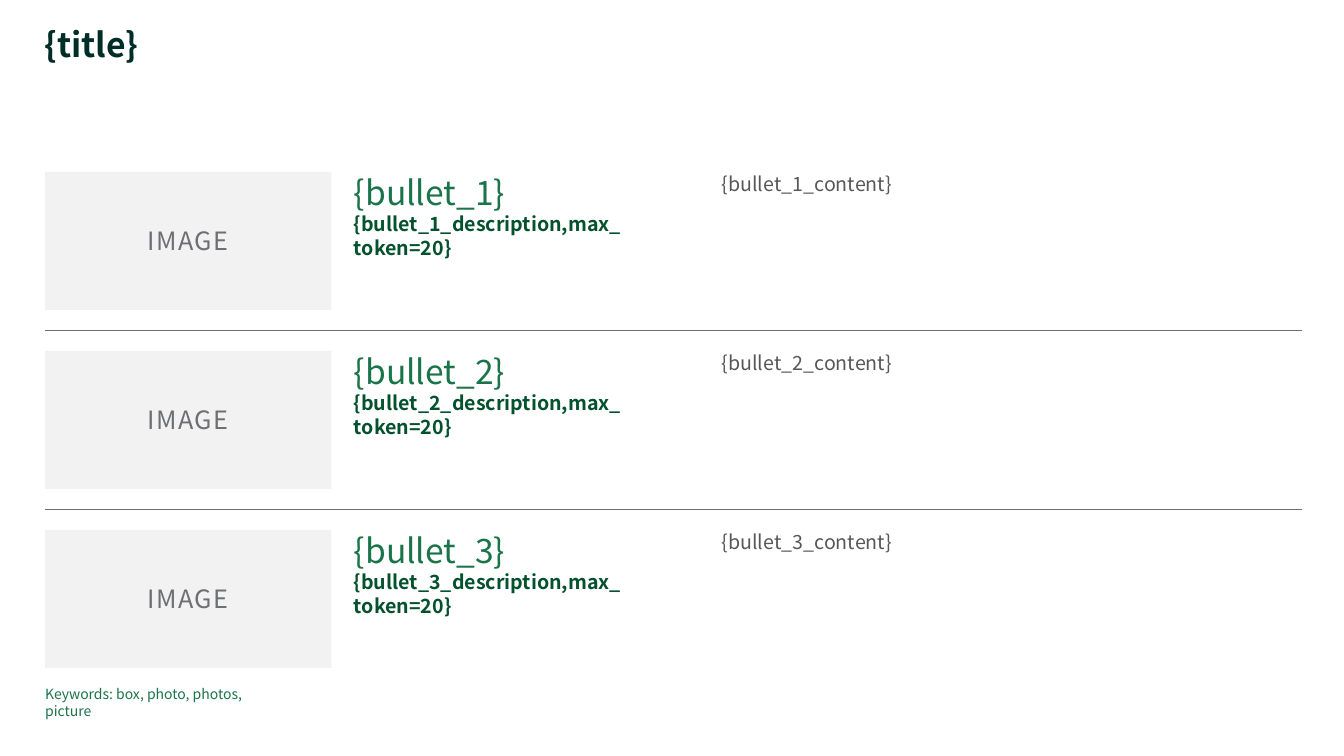
"""Build a slide with three illustrated rows separated by rules."""
from lxml import etree
from pptx import Presentation, util as u
from pptx.dml.color import RGBColor
from pptx.enum import shapes, text
from pptx.oxml.ns import qn

FONT = "Noto Sans CJK JP"
LEFT = 1.14
ROW_TOP = 4.33
ROW_STEP = 4.51
ROW_COUNT = 3
RULE_OFFSET = 4.0


def color(value):
    """Turn a hex string into a colour."""
    return RGBColor.from_string(value)


def place(left, top, width, height):
    """Convert a frame in centimetres to slide lengths."""
    return [u.Cm(length) for length in (left, top, width, height)]


def write(para, content, size, ink, bold=False, tracking=None):
    """Add one formatted span of text to a paragraph."""
    span = para.add_run()
    span.text = content
    span.font.name = FONT
    span.font.size = u.Pt(size)
    span.font.bold = bold
    span.font.color.rgb = color(ink)
    if tracking:
        span.font._element.set("spc", str(tracking * 100))


def add_text(page, frame, *lines, line_spacing=None):
    """Add a wrapped text box without margins, one paragraph per line."""
    box = page.shapes.add_textbox(*place(*frame))
    area = box.text_frame
    area.word_wrap = True
    area.auto_size = text.MSO_AUTO_SIZE.SHAPE_TO_FIT_TEXT
    area.margin_left = area.margin_right = 0
    area.margin_top = area.margin_bottom = 0
    for index, line in enumerate(lines):
        para = area.add_paragraph() if index else area.paragraphs[0]
        para.line_spacing = line_spacing
        write(para, **line)


def add_image_box(page, top):
    """Add a grey box that reserves room for an image."""
    box = page.shapes.add_shape(
        shapes.MSO_SHAPE.RECTANGLE, *place(LEFT, top, 7.21, 3.48))
    box.shadow.inherit = False
    box.fill.solid()
    box.fill.fore_color.rgb = color("F2F2F2")
    box.line.fill.background()
    box.text_frame.vertical_anchor = text.MSO_ANCHOR.MIDDLE
    para = box.text_frame.paragraphs[0]
    para.alignment = text.PP_ALIGN.CENTER
    write(para, "IMAGE", 18, "6E6F73", tracking=1)


def add_rule(page, top):
    """Add a thin horizontal line between two rows."""
    rule = page.shapes.add_connector(
        shapes.MSO_CONNECTOR.STRAIGHT, *place(LEFT, top, 32.8, top))
    rule.line.color.rgb = color("6E6F73")
    rule.line.width = u.Pt(0.5)
    etree.SubElement(rule._element.spPr, qn("a:effectLst"))


def add_row(page, number, top):
    """Add the image box, heading and content of one row."""
    name = f"bullet_{number}"
    add_image_box(page, top)
    add_text(
        page, (8.92, top, 6.8, 2.24),
        dict(content=f"{{{name}}}", size=24, ink="1A7449"),
        dict(content=f"{{{name}_description,max_token=20}}", size=14,
             ink="03522D", bold=True))
    add_text(page, (18.19, top, 14.63, 0.61),
             dict(content=f"{{{name}_content}}", size=14, ink="575757"))


def main():
    """Compose the slide and save the deck."""
    deck = Presentation()
    deck.slide_width, deck.slide_height = u.Cm(33.87), u.Cm(19.05)
    page = deck.slides.add_slide(deck.slide_layouts[6])
    add_text(page, (1.12, 0.71, 28.02, 0.94),
             dict(content="{title}", size=24, ink="002D28", bold=True),
             line_spacing=0.9)
    for index in range(ROW_COUNT):
        top = ROW_TOP + index * ROW_STEP
        add_row(page, index + 1, top)
        if index < ROW_COUNT - 1:
            add_rule(page, top + RULE_OFFSET)
    add_text(page, (LEFT, 17.27, 5.92, 0.43),
             dict(content="Keywords: box, photo, photos, picture", size=10,
                  ink="1A7449"))
    deck.save("out.pptx")


if __name__ == "__main__":
    main()
